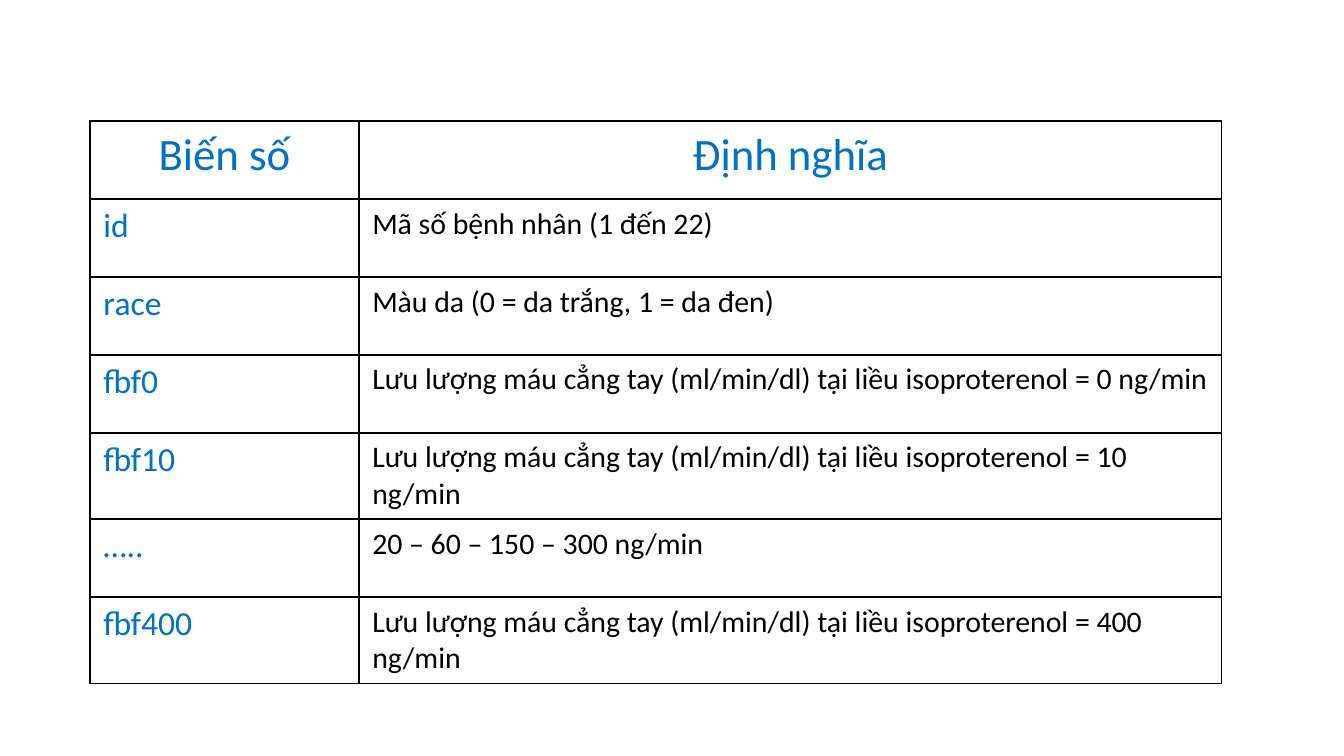
"""Build a slide with a table of study variables and their definitions."""
from dataclasses import dataclass

from lxml import etree
from pptx import Presentation
from pptx import util as u
from pptx.dml.color import RGBColor
from pptx.enum import text
from pptx.oxml import ns

BLUE = RGBColor(0x00, 0x70, 0xC0)
BLACK = RGBColor(0x00, 0x00, 0x00)
FLOW = "Lưu lượng máu cẳng tay (ml/min/dl) tại liều isoproterenol = {} ng/min"
SLIDE_WIDTH = 10
SLIDE_HEIGHT = SLIDE_WIDTH * 9 / 16
COL_WIDTHS = (2, 6.42)
ROW_HEIGHT = 0.58


@dataclass
class Variable:
    name: str
    definition: str


@dataclass
class Style:
    size: int
    color: RGBColor
    align: text.PP_ALIGN = text.PP_ALIGN.LEFT


HEADER = Style(24, BLUE, text.PP_ALIGN.CENTER)
NAME = Style(18, BLUE)
DEFINITION = Style(16, BLACK)

VARIABLES = [
    Variable("Biến số", "Định nghĩa"),
    Variable("id", "Mã số bệnh nhân (1 đến 22)"),
    Variable("race", "Màu da (0 = da trắng, 1 = da đen)"),
    Variable("fbf0", FLOW.format(0)),
    Variable("fbf10", FLOW.format(10)),
    Variable("…..", "20 – 60 – 150 – 300 ng/min"),
    Variable("fbf400", FLOW.format(400)),
]


def add_borders(cell) -> None:
    tc_pr = cell._tc.get_or_add_tcPr()
    for i, side in enumerate(("lnL", "lnR", "lnT", "lnB")):
        ln = etree.Element(ns.qn(f"a:{side}"), w=str(u.Pt(1)))
        fill = etree.SubElement(ln, ns.qn("a:solidFill"))
        etree.SubElement(fill, ns.qn("a:srgbClr"), val=str(BLACK))
        tc_pr.insert(i, ln)


def fill_cell(cell, content: str, style: Style) -> None:
    cell.fill.background()
    add_borders(cell)
    p = cell.text_frame.paragraphs[0]
    p.alignment = style.align
    r = p.add_run()
    r.text = content
    formats = {"name": "Calibri", "size": u.Pt(style.size), "bold": False}
    for key, value in formats.items():
        setattr(r.font, key, value)
    r.font.color.rgb = style.color


def add_variable_table(s, variables: list[Variable]) -> None:
    rows = len(variables)
    table = s.shapes.add_table(
        rows, len(COL_WIDTHS), u.Inches(0.67), u.Inches(0.9),
        u.Inches(sum(COL_WIDTHS)), u.Inches(ROW_HEIGHT * rows),
    ).table
    table.first_row = table.horz_banding = False
    for column, width in zip(table.columns, COL_WIDTHS):
        column.width = u.Inches(width)
    for i, variable in enumerate(variables):
        table.rows[i].height = u.Inches(ROW_HEIGHT)
        styles = (NAME, DEFINITION) if i else (HEADER, HEADER)
        contents = (variable.name, variable.definition)
        for j, (content, style) in enumerate(zip(contents, styles)):
            fill_cell(table.cell(i, j), content, style)


def main() -> None:
    prs = Presentation()
    prs.slide_width = u.Inches(SLIDE_WIDTH)
    prs.slide_height = u.Inches(SLIDE_HEIGHT)
    s = prs.slides.add_slide(prs.slide_layouts[6])
    add_variable_table(s, VARIABLES)
    prs.save("out.pptx")


main()
